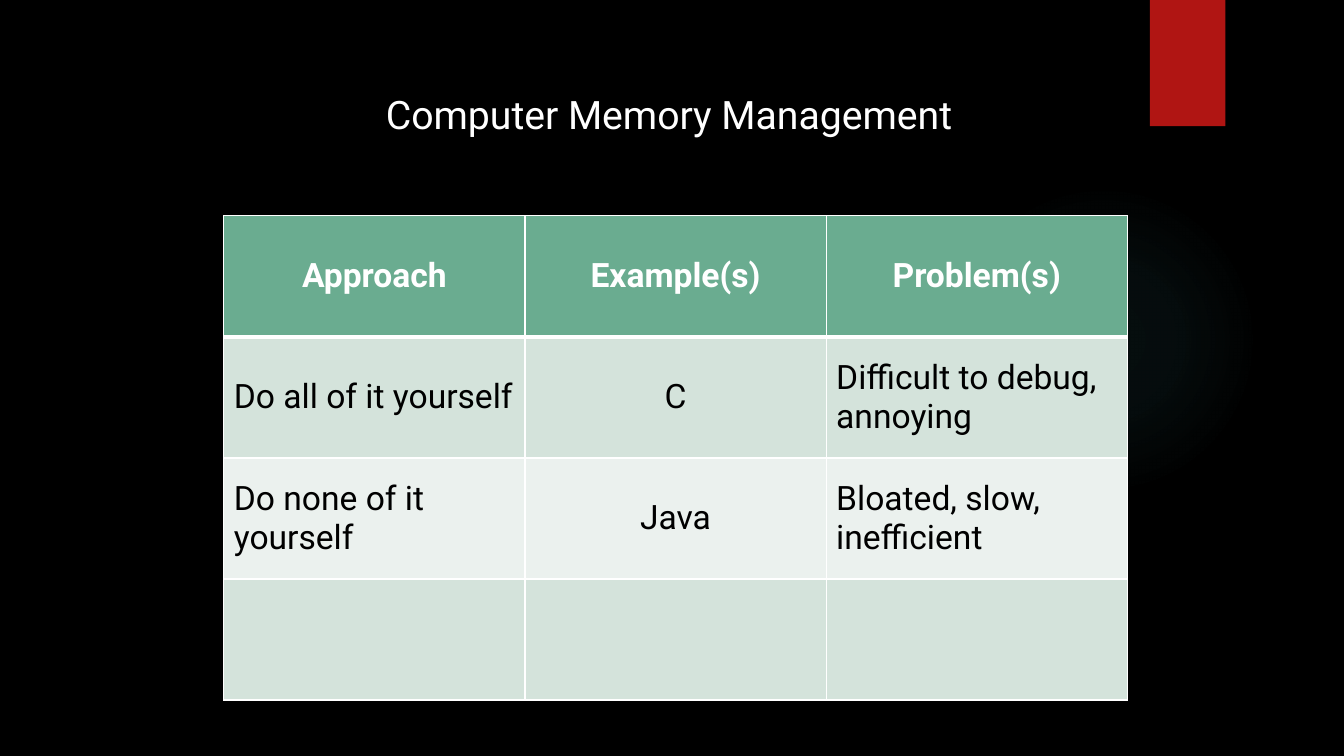
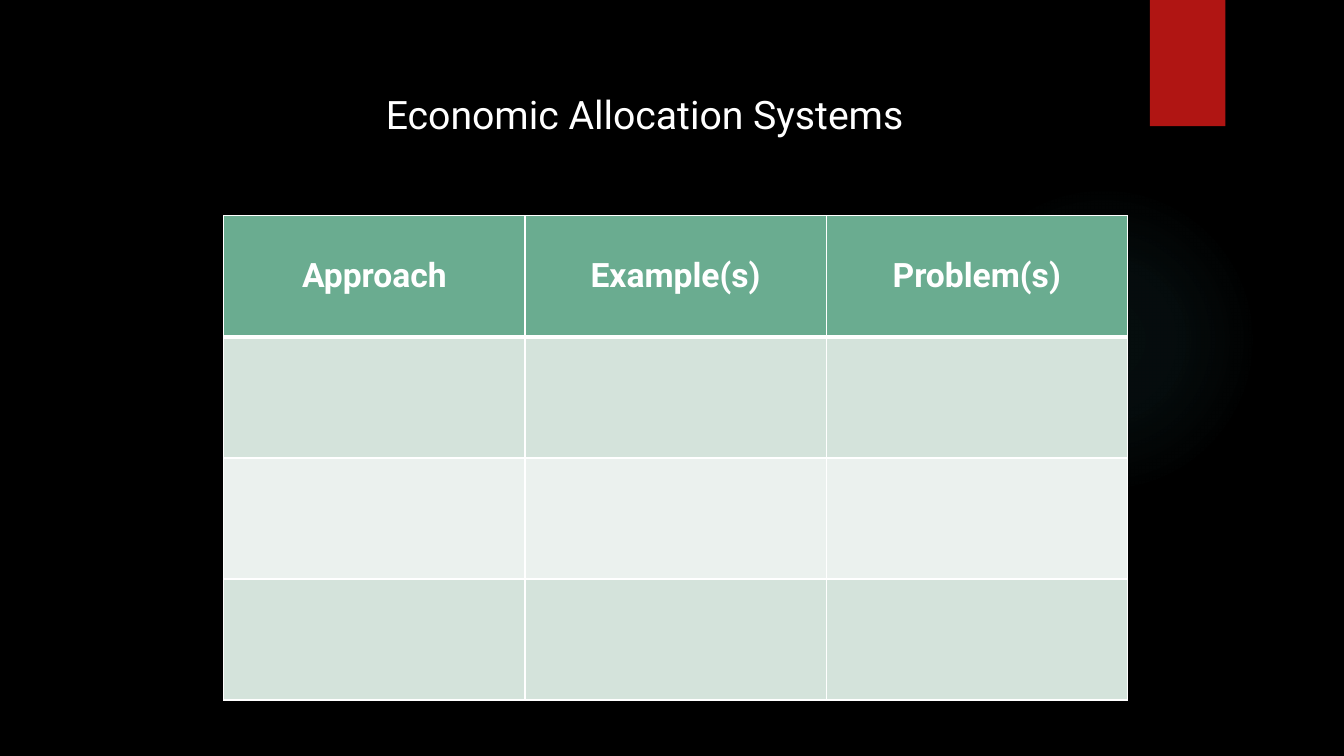
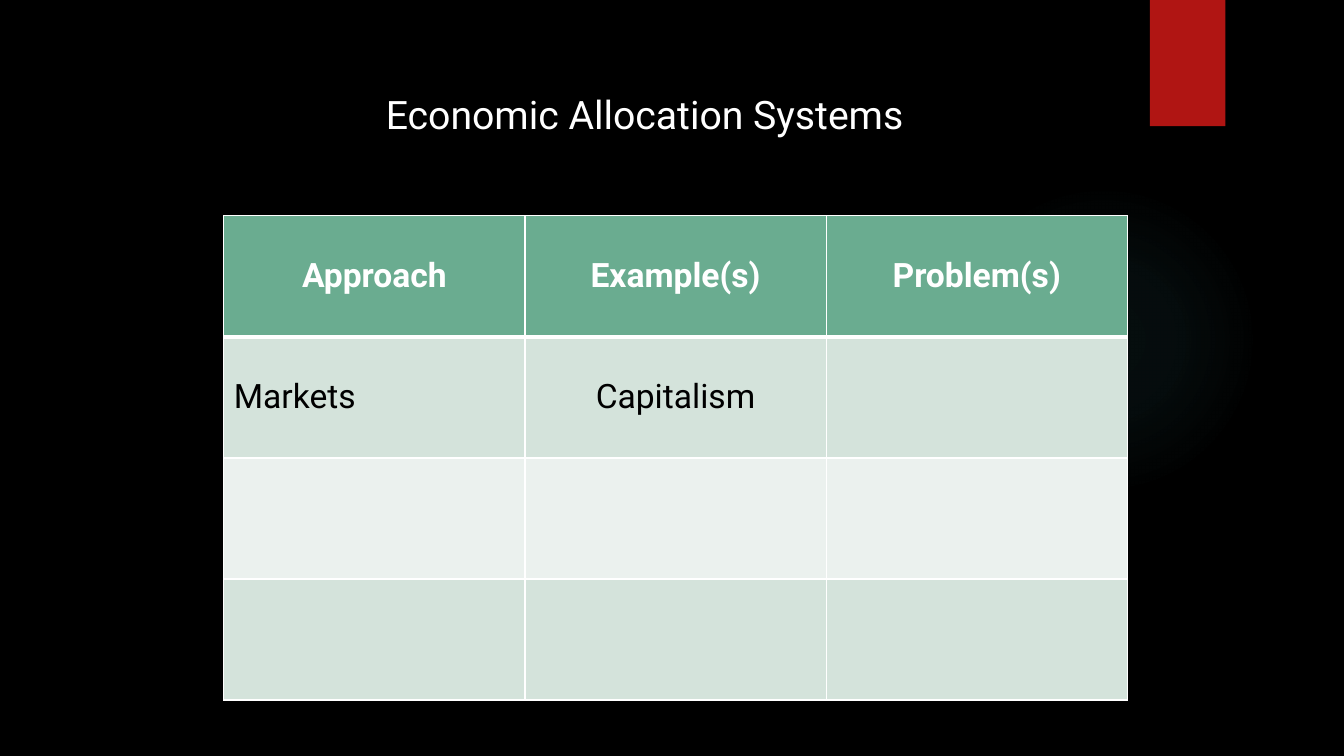
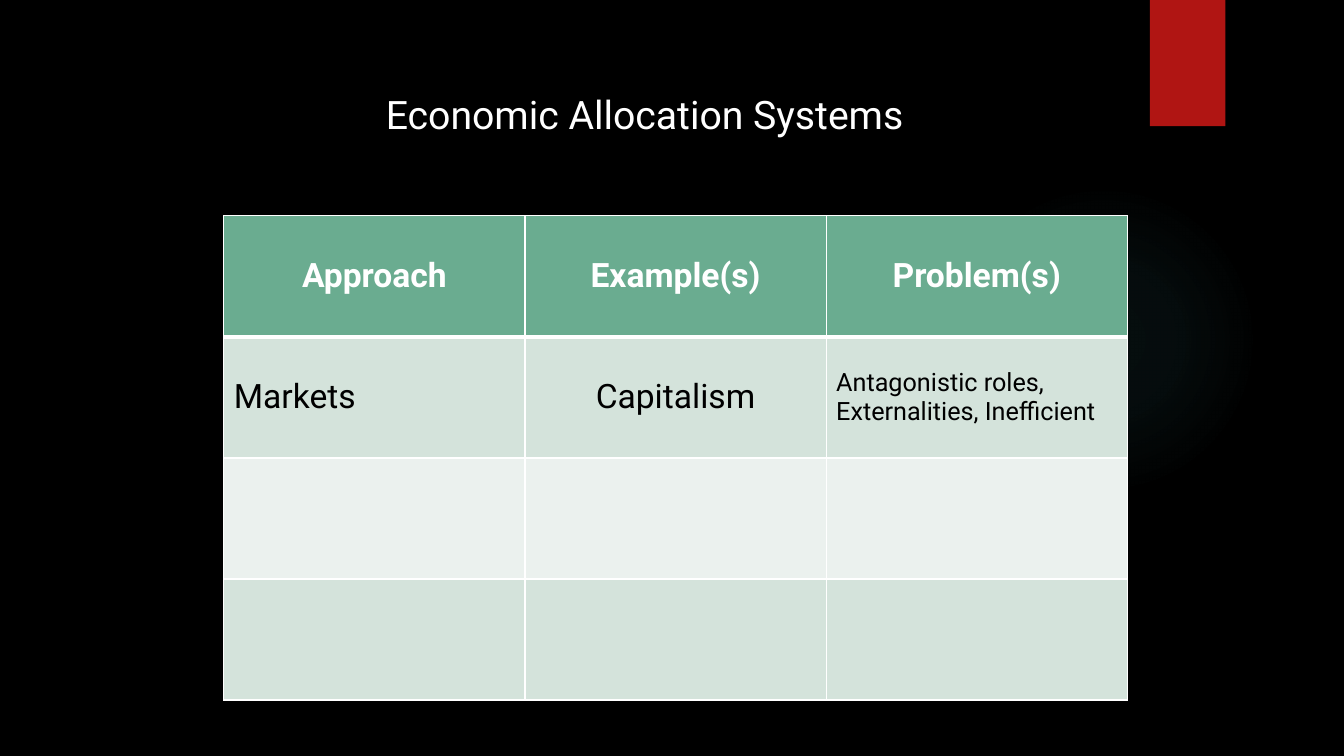
from dataclasses import dataclass

from pptx import Presentation
from pptx.dml.color import RGBColor
from pptx.enum.shapes import MSO_SHAPE
from pptx.enum.text import MSO_ANCHOR, MSO_AUTO_SIZE, PP_ALIGN
from pptx.oxml import parse_xml
from pptx.oxml.ns import nsdecls
from pptx.slide import Slide
from pptx.table import _Cell
from pptx.text.text import TextFrame
from pptx.util import Cm, Pt

OVAL, RECT = MSO_SHAPE.OVAL, MSO_SHAPE.RECTANGLE
LEFT, CENTER = PP_ALIGN.LEFT, PP_ALIGN.CENTER
TOP, MIDDLE = MSO_ANCHOR.TOP, MSO_ANCHOR.MIDDLE
GROW = MSO_AUTO_SIZE.SHAPE_TO_FIT_TEXT
TITLE_ONLY = 5


@dataclass(frozen=True)
class Theme:
    font: str = "Roboto"
    back: str = "000000"
    ink: str = "000000"
    light: str = "FFFFFF"
    tag: str = "B01513"
    glow: str = "50B9C1"
    head: str = "6AAC90"
    bands: tuple[str, ...] = ("D4E3DB", "EBF1EE")
    title: int = 28
    body: int = 24
    small: int = 18
    thin: int = 1
    thick: int = 3


@dataclass(frozen=True)
class Entry:
    text: str = ""
    size: int = Theme.body


@dataclass(frozen=True)
class Page:
    title: str
    rows: tuple[tuple[Entry, ...], ...] = ()


THEME = Theme()
HEADS = ("Approach", "Example(s)", "Problem(s)")
ALIGNS = (LEFT, CENTER, LEFT)
ROWS = 4
COL, ROW = Cm(7.59), Cm(3.05)

MEMORY = (
    (Entry("Do all of it yourself"), Entry("C"), Entry("Difficult to debug, annoying")),
    (Entry("Do none of it yourself"), Entry("Java"), Entry("Bloated, slow, inefficient")),
)
MARKET = (Entry("Markets"), Entry("Capitalism"))
FLAWS = Entry("Antagonistic roles, Externalities, Inefficient", THEME.small)
ECONOMY = "Economic Allocation Systems"
PAGES = (
    Page("Computer Memory Management", MEMORY),
    Page(ECONOMY),
    Page(ECONOMY, (MARKET,)),
    Page(ECONOMY, ((*MARKET, FLAWS),)),
)


def write(frame: TextFrame, text: str, size: int, color: str,
          align: PP_ALIGN, bold: bool = False) -> None:
    para = frame.paragraphs[0]
    para.alignment = align
    run = para.add_run()
    run.text = text
    font = run.font
    font.name, font.size, font.bold = THEME.font, Pt(size), bold
    font.color.rgb = RGBColor.from_string(color)


def add_decor(slide: Slide) -> None:
    """Draw the soft glow and the red tag."""
    glow = slide.shapes.add_shape(OVAL, Cm(23.9), Cm(4.65), Cm(7.82), Cm(7.82))
    tag = slide.shapes.add_shape(RECT, Cm(28.98), 0, Cm(1.9), Cm(3.18))
    for shape in (glow, tag):
        shape.shadow.inherit = False
        shape.line.fill.background()
    tag.fill.solid()
    tag.fill.fore_color.rgb = RGBColor.from_string(THEME.tag)

    stops = "".join(
        f'<a:gs pos="{pos * 1000}"><a:srgbClr val="{THEME.glow}">'
        f'<a:alpha val="{alpha * 1000}"/></a:srgbClr></a:gs>'
        for pos, alpha in ((0, 7), (36, 6), (69, 0))
    )
    fill = parse_xml(
        f'<a:gradFill {nsdecls("a")}><a:gsLst>{stops}</a:gsLst><a:path path="circle">'
        '<a:fillToRect l="50000" t="50000" r="50000" b="50000"/></a:path></a:gradFill>'
    )
    glow._element.spPr.find("{*}prstGeom").addnext(fill)


def add_title(slide: Slide, text: str) -> None:
    title = slide.shapes.title
    title.left, title.top = Cm(9.47), Cm(2.16)
    title.width, title.height = Cm(14.91), Cm(1.45)
    frame = title.text_frame
    frame.word_wrap, frame.auto_size = True, GROW
    frame.vertical_anchor = TOP
    write(frame, text, THEME.title, THEME.light, LEFT)


def style_cell(cell: _Cell, row: int) -> None:
    """Set borders and fill, with a thick rule under the header."""
    props = cell._tc.get_or_add_tcPr()
    heavy = {0: "B", 1: "T"}.get(row)
    for side in "LRTB":
        width = Pt(THEME.thick if side == heavy else THEME.thin)
        props.append(parse_xml(
            f'<a:ln{side} {nsdecls("a")} w="{width}"><a:solidFill>'
            f'<a:srgbClr val="{THEME.light}"/></a:solidFill></a:ln{side}>'
        ))
    color = THEME.bands[(row - 1) % len(THEME.bands)] if row else THEME.head
    cell.fill.solid()
    cell.fill.fore_color.rgb = RGBColor.from_string(color)
    cell.vertical_anchor = MIDDLE


def add_grid(slide: Slide, rows: tuple[tuple[Entry, ...], ...]) -> None:
    count = len(HEADS)
    table = slide.shapes.add_table(
        ROWS, count, Cm(5.64), Cm(5.44), COL * count, ROW * ROWS).table
    for col in table.columns:
        col.width = COL
    for row in range(ROWS):
        table.rows[row].height = ROW
        for col in range(count):
            style_cell(table.cell(row, col), row)
    for col, head in enumerate(HEADS):
        write(table.cell(0, col).text_frame, head, THEME.body, THEME.light, CENTER, True)
    for row, entries in enumerate(rows, 1):
        for col, entry in enumerate(entries):
            write(table.cell(row, col).text_frame, entry.text, entry.size,
                  THEME.ink, ALIGNS[col])


def main() -> None:
    prs = Presentation()
    prs.slide_width, prs.slide_height = Cm(33.87), Cm(19.05)
    back = prs.slide_master.background.fill
    back.solid()
    back.fore_color.rgb = RGBColor.from_string(THEME.back)
    for page in PAGES:
        slide = prs.slides.add_slide(prs.slide_layouts[TITLE_ONLY])
        add_decor(slide)
        add_grid(slide, page.rows)
        add_title(slide, page.title)
    prs.save("out.pptx")


if __name__ == "__main__":
    main()
